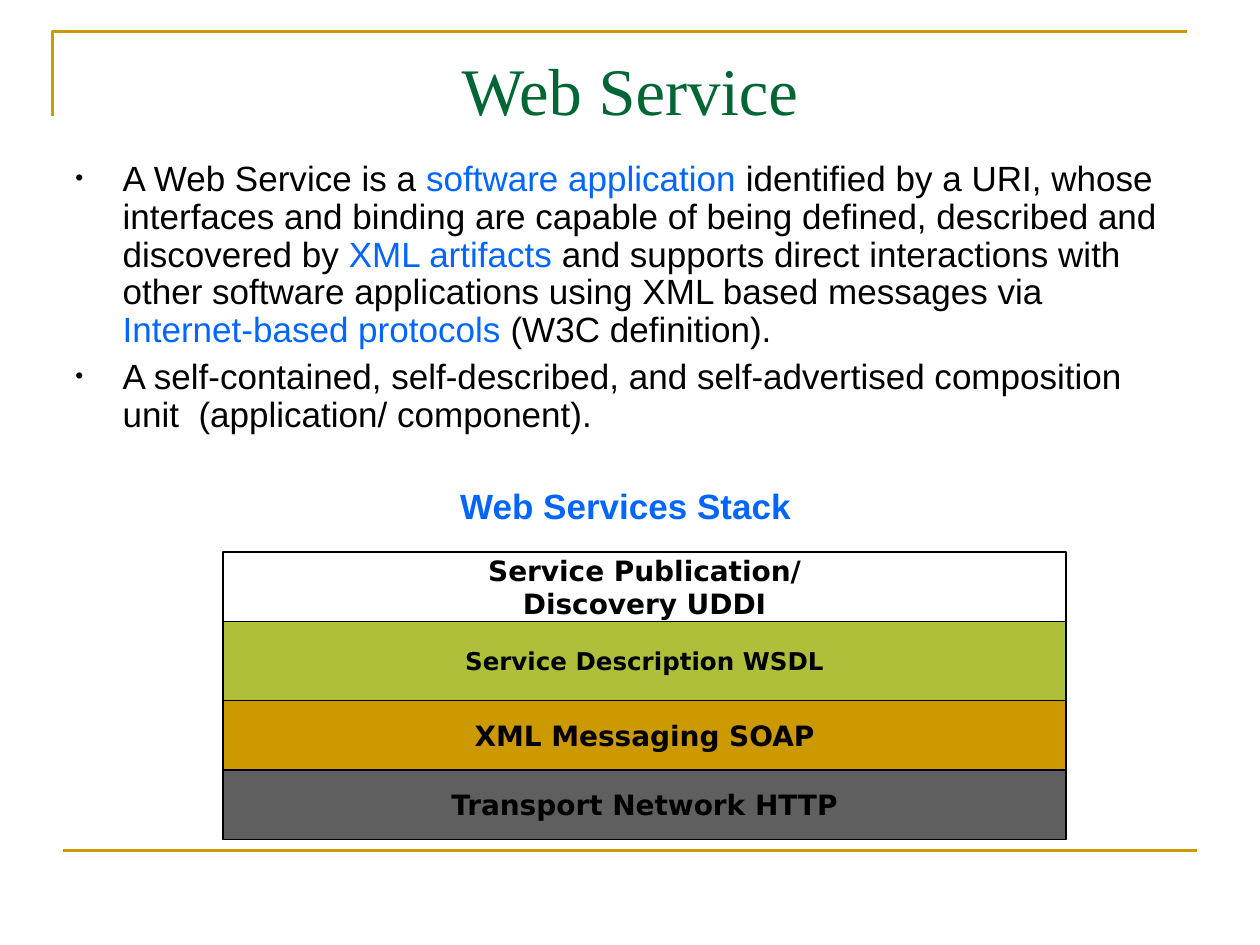
from lxml import etree
from pptx import Presentation
from pptx.dml.color import RGBColor
from pptx.enum.shapes import MSO_CONNECTOR, MSO_SHAPE
from pptx.enum.text import MSO_ANCHOR, PP_ALIGN
from pptx.oxml.ns import qn
from pptx.util import Pt

STRAIGHT = MSO_CONNECTOR.STRAIGHT
RECTANGLE = MSO_SHAPE.RECTANGLE
TOP, MIDDLE, BOTTOM = MSO_ANCHOR.TOP, MSO_ANCHOR.MIDDLE, MSO_ANCHOR.BOTTOM
CENTER = PP_ALIGN.CENTER

GOLD, GREEN, BLUE, BLACK = "CC9900", "006633", "0066FF", "000000"

BULLETS = [
    [
        ("A Web Service is a ", BLACK),
        ("software application", BLUE),
        (" identified by a URI, whose interfaces and binding are capable of "
         "being defined, described and discovered by ", BLACK),
        ("XML artifacts", BLUE),
        (" and supports direct interactions with other software applications "
         "using XML based messages via ", BLACK),
        ("Internet-based protocols", BLUE),
        (" (W3C definition).", BLACK),
    ],
    [("A self-contained, self-described, and self-advertised composition "
      "unit  (application/ component).", BLACK)],
]

LAYERS = [
    (["Service Publication/", "Discovery UDDI"], "FFFFFF", 39.6, 16),
    (["Service Description WSDL"], "AFBF39", 45.4, 14),
    (["XML Messaging SOAP"], GOLD, 39.6, 16),
    (["Transport Network HTTP"], "5F5F5F", 39.6, 16),
]


def color(value):
    return RGBColor.from_string(value)


def style_line(line, value, width):
    line.color.rgb = color(value)
    line.width = Pt(width)


def style_font(font, name, size, value=None, bold=False):
    font.name = name
    font.size = Pt(size)
    font.bold = bold
    if value:
        font.color.rgb = color(value)


def add_text_box(slide, left, top, width, height, anchor=TOP, wrap=True):
    shape = slide.shapes.add_textbox(Pt(left), Pt(top), Pt(width), Pt(height))
    shape.text_frame.word_wrap = wrap
    shape.text_frame.vertical_anchor = anchor
    return shape.text_frame


def write_centered(paragraph, text, name, size, value, bold=False):
    paragraph.text = text
    paragraph.alignment = CENTER
    style_font(paragraph.font, name, size, value, bold)


def add_corner(slide):
    builder = slide.shapes.build_freeform(Pt(30.2), Pt(66.2))
    builder.add_line_segments([(Pt(30.2), Pt(18)), (Pt(678.2), Pt(18))], close=False)
    shape = builder.convert_to_shape()
    shape.shadow.inherit = False
    shape.fill.background()
    style_line(shape.line, GOLD, 1.5)


def add_rule(slide, left, right, y):
    connector = slide.shapes.add_connector(STRAIGHT, Pt(left), Pt(y), Pt(right), Pt(y))
    style_line(connector.line, GOLD, 1.5)
    etree.SubElement(connector._element.spPr, qn("a:effectLst"))


def add_bullet_mark(paragraph, indent):
    properties = paragraph._p.get_or_add_pPr()
    properties.set("marL", str(Pt(indent)))
    properties.set("indent", str(-Pt(indent)))
    bullet_color = etree.SubElement(properties, qn("a:buClr"))
    etree.SubElement(bullet_color, qn("a:srgbClr"), val=BLACK)
    etree.SubElement(properties, qn("a:buSzPct"), val="65000")
    etree.SubElement(properties, qn("a:buFont"), typeface="Arial")
    etree.SubElement(properties, qn("a:buChar"), char="•")


def add_bullets(slide):
    frame = add_text_box(slide, 36, 88.6, 641.5, 170)
    for index, runs in enumerate(BULLETS):
        paragraph = frame.add_paragraph() if index else frame.paragraphs[0]
        add_bullet_mark(paragraph, 27)
        paragraph.line_spacing = 0.9
        if index:
            paragraph.space_before = Pt(5)
        style_font(paragraph.font, "Arial", 20)
        for text, value in runs:
            run = paragraph.add_run()
            run.text = text
            run.font.color.rgb = color(value)


def add_layer(slide, top, height, lines, fill, size):
    shape = slide.shapes.add_shape(RECTANGLE, Pt(127.5), Pt(top), Pt(481.7), Pt(height))
    shape.shadow.inherit = False
    shape.fill.solid()
    shape.fill.fore_color.rgb = color(fill)
    style_line(shape.line, BLACK, 0.75)
    frame = shape.text_frame
    frame.word_wrap = False
    frame.vertical_anchor = MIDDLE
    for index, text in enumerate(lines):
        paragraph = frame.add_paragraph() if index else frame.paragraphs[0]
        write_centered(paragraph, text, "DejaVu Sans", size, BLACK, bold=True)


def add_stack(slide):
    top = 315.4
    for lines, fill, height, size in LAYERS:
        add_layer(slide, top, height, lines, fill, size)
        top += height


def main():
    presentation = Presentation()
    presentation.slide_width = Pt(720)
    presentation.slide_height = Pt(540)
    slide = presentation.slides.add_slide(presentation.slide_layouts[6])
    add_corner(slide)
    add_rule(slide, 36, 684, 486)
    title = add_text_box(slide, 36, 21.6, 648, 55.4, BOTTOM)
    write_centered(title.paragraphs[0], "Web Service", "Times New Roman", 38, GREEN)
    add_bullets(slide)
    add_stack(slide)
    heading = add_text_box(slide, 255.6, 273.6, 203.8, 31.7, wrap=False)
    write_centered(heading.paragraphs[0], "Web Services Stack", "Arial", 20, BLUE, bold=True)
    presentation.save("out.pptx")


if __name__ == "__main__":
    main()
